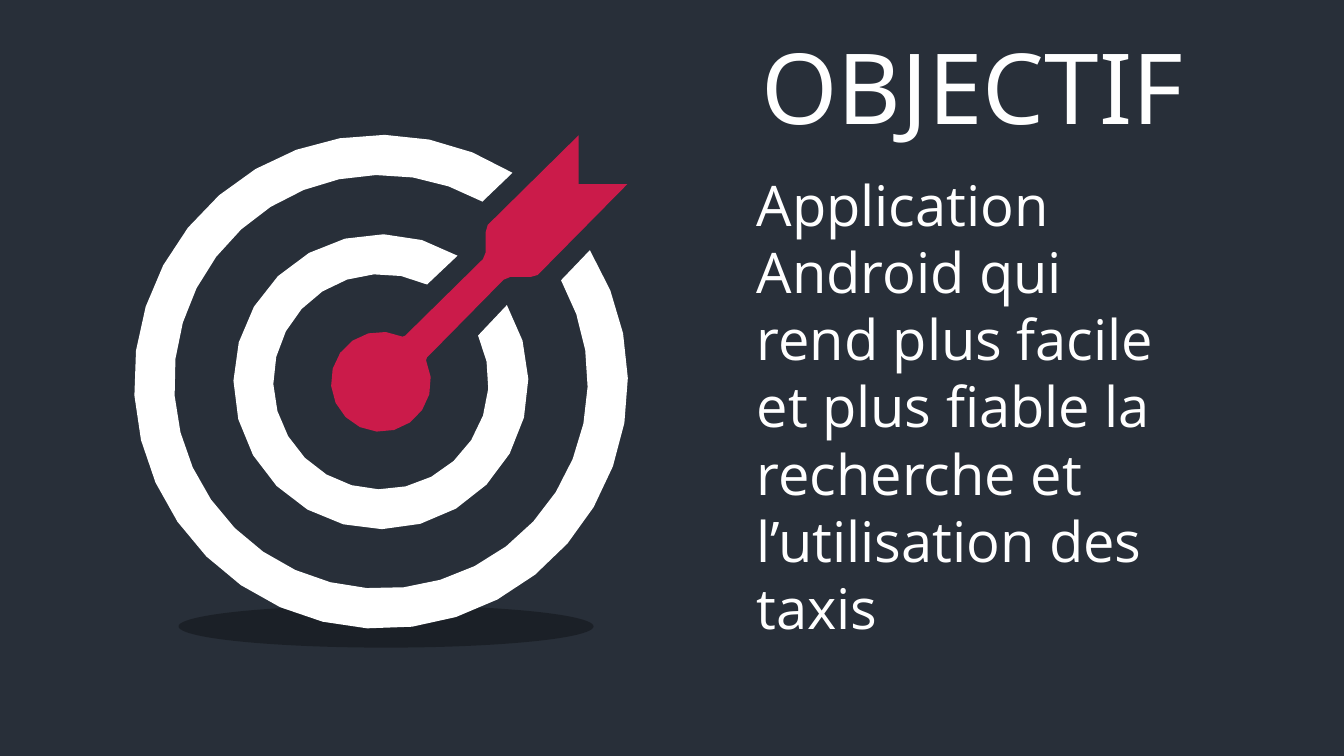
"""Build the objective slide: a target hit by an arrow, beside a title and a statement."""
import math
from dataclasses import dataclass

from lxml import etree
from pptx import Presentation, util as u
from pptx.dml.color import RGBColor
from pptx.enum import shapes, text
from pptx.oxml.ns import qn


@dataclass(frozen=True)
class Theme:
    background: str = "282F39"
    light: str = "FFFFFF"
    accent: str = "CB1B4A"
    shade: str = "000000"
    shade_alpha: int = 30
    title_font: str = "Noto Sans"
    title_size: int = 70
    body_font: str = "Open Sans"
    body_size: int = 40


THEME = Theme()

TITLE = "OBJECTIF"
STATEMENT = ("Application Android qui rend plus facile et plus fiable "
             "la recherche et l’utilisation des taxis")
TITLE_BOX = (18.42, 0.55, 12.17, 3.25)
STATEMENT_BOX = (18.82, 4.17, 10.57, 10.52)
GROUND_SHADE = (4.5, 15.25, 10.46, 1.07)

CENTRE = (9.6, 9.62)
AXIS = -45
RINGS = [
    {"outer": (6.21, 12.8), "inner": (5.2, 15.6), "sides": 32},
    {"outer": (3.7, 13.7), "inner": (2.7, 19.6), "sides": 22},
]
BULLSEYE = {"outer": (1.25, 19.4), "sides": 16}
ARROW_SIDE = [(0.61, -1.16), (2.57, -3.09), (2.64, -3.26),
              (2.64, -3.77), (2.69, -3.95), (4.98, -6.21)]
ARROW_NOTCH = (4.98, -4.98)


def colour(value):
    return RGBColor.from_string(value)


def arc(radius, half_gap, sides):
    """Return clockwise points whose sides straddle the circle, open about the arrow's axis."""
    step = math.radians(360 - 2 * half_gap) / sides
    start = math.radians(AXIS + half_gap)
    reach = radius / math.sqrt(math.cos(step / 2))
    angles = [start + step * i for i in range(sides + 1)]
    return [(reach * math.cos(a), reach * math.sin(a)) for a in angles]


def paint(shape, fill):
    shape.shadow.inherit = False
    shape.fill.solid()
    shape.fill.fore_color.rgb = colour(fill)
    shape.line.fill.background()


def add_outline(group, offsets, fill):
    points = [(u.Cm(CENTRE[0] + x), u.Cm(CENTRE[1] + y)) for x, y in offsets]
    builder = group.shapes.build_freeform(*points[0])
    builder.add_line_segments(points[1:], close=True)
    paint(builder.convert_to_shape(), fill)


def add_target(slide):
    shade = slide.shapes.add_shape(shapes.MSO_SHAPE.OVAL, *map(u.Cm, GROUND_SHADE))
    paint(shade, THEME.shade)
    shade_colour = next(shade.fill._xPr.iter(qn("a:srgbClr")))
    etree.SubElement(shade_colour, qn("a:alpha"), val=str(THEME.shade_alpha * 1000))

    target = slide.shapes.add_group_shape()
    for ring in RINGS:
        outer = arc(*ring["outer"], ring["sides"])
        inner = arc(*ring["inner"], ring["sides"])
        add_outline(target, outer + inner[::-1], THEME.light)
    bullseye = arc(*BULLSEYE["outer"], BULLSEYE["sides"])
    mirrored_side = [(-y, -x) for x, y in reversed(ARROW_SIDE)]
    add_outline(target, bullseye + ARROW_SIDE + [ARROW_NOTCH] + mirrored_side, THEME.accent)


def add_words(slide, box, words, font, size, align):
    frame = slide.shapes.add_textbox(*map(u.Cm, box)).text_frame
    frame.word_wrap = True
    frame.auto_size = text.MSO_AUTO_SIZE.SHAPE_TO_FIT_TEXT
    paragraph = frame.paragraphs[0]
    paragraph.text = words
    paragraph.alignment = align
    paragraph.font.name = font
    paragraph.font.size = u.Pt(size)
    paragraph.font.color.rgb = colour(THEME.light)


def main():
    deck = Presentation()
    deck.slide_width, deck.slide_height = u.Cm(33.87), u.Cm(19.05)
    slide = deck.slides.add_slide(deck.slide_layouts[6])
    slide.background.fill.solid()
    slide.background.fill.fore_color.rgb = colour(THEME.background)
    add_target(slide)
    add_words(slide, TITLE_BOX, TITLE, THEME.title_font, THEME.title_size,
              text.PP_ALIGN.CENTER)
    add_words(slide, STATEMENT_BOX, STATEMENT, THEME.body_font, THEME.body_size,
              text.PP_ALIGN.LEFT)
    deck.save("out.pptx")


if __name__ == "__main__":
    main()
